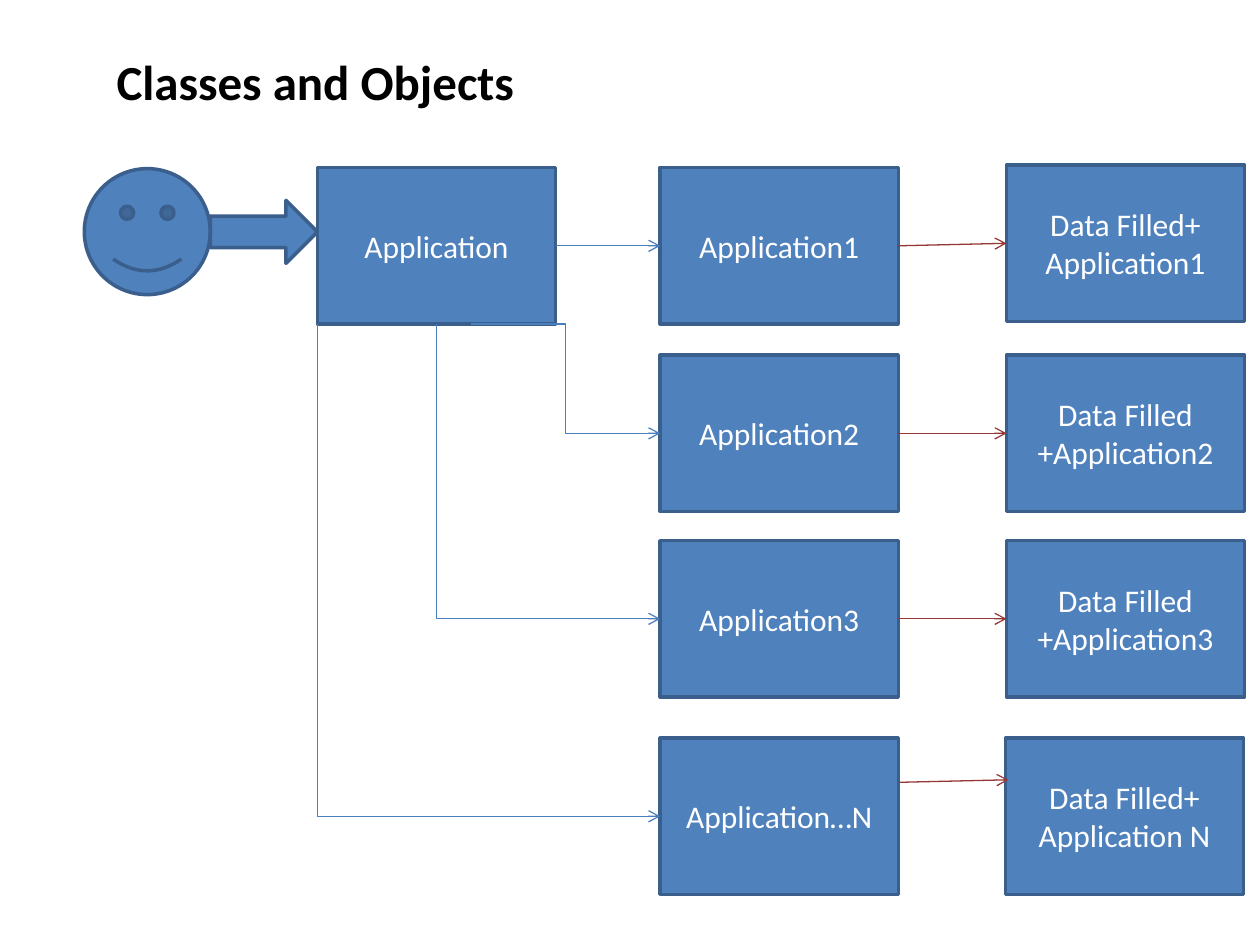
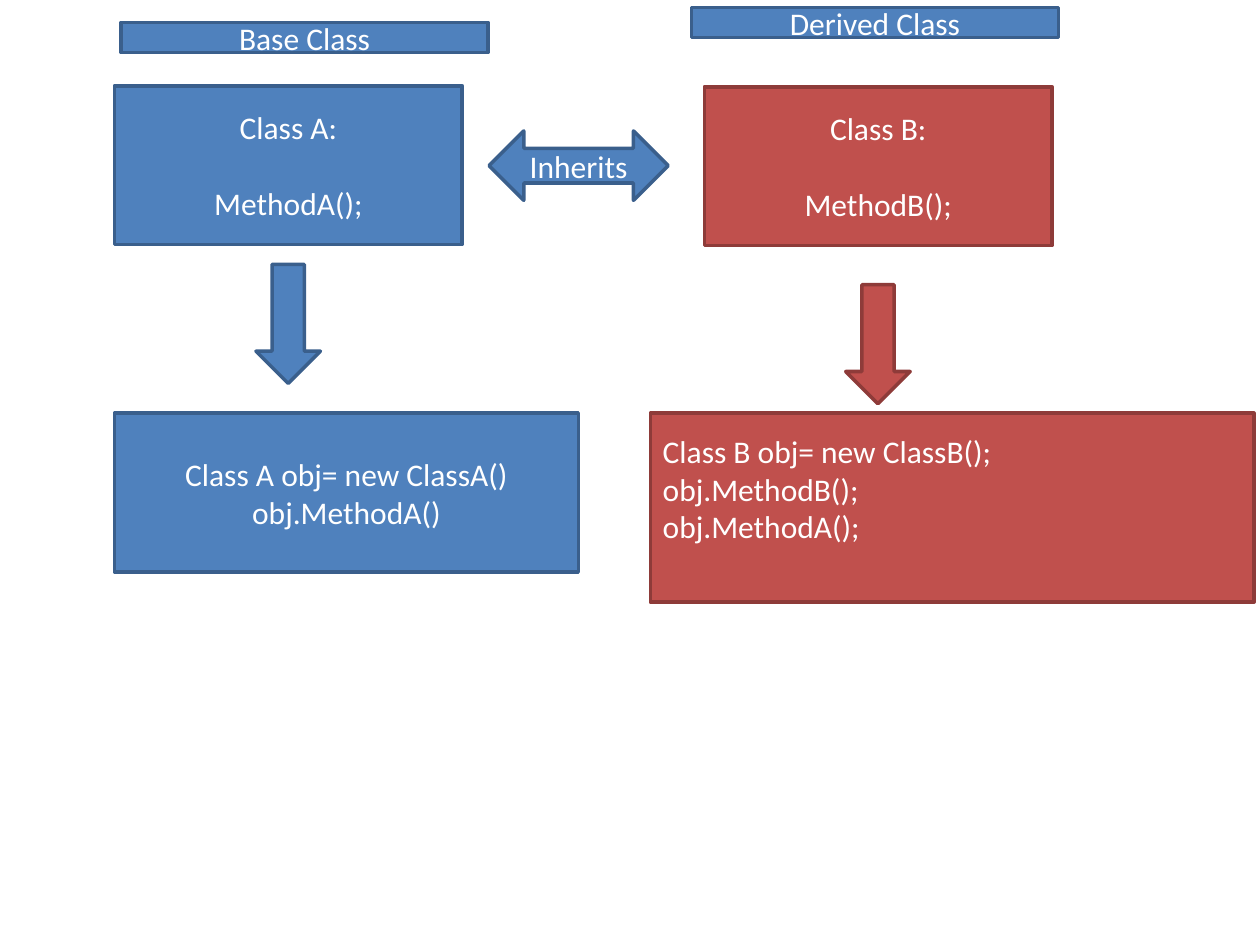
from pptx import Presentation
from pptx.dml.color import RGBColor
from pptx.enum.shapes import MSO_CONNECTOR, MSO_SHAPE
from pptx.enum.text import MSO_ANCHOR, MSO_AUTO_SIZE, PP_ALIGN
from pptx.oxml.ns import qn
from pptx.util import Cm, Pt
from lxml.etree import SubElement

BLACK = RGBColor(0x00, 0x00, 0x00)
WHITE = RGBColor(0xFF, 0xFF, 0xFF)
BLUE = RGBColor(0x4F, 0x81, 0xBD)
BLUE_EDGE = RGBColor(0x3A, 0x5F, 0x8C)
BLUE_LINE = RGBColor(0x4B, 0x7E, 0xBC)
RED = RGBColor(0xC0, 0x50, 0x4D)
RED_EDGE = RGBColor(0x8E, 0x3B, 0x39)
RED_LINE = RGBColor(0x95, 0x37, 0x35)

BLUE_PAIR = (BLUE, BLUE_EDGE)
RED_PAIR = (RED, RED_EDGE)
TITLE_FONT = {"name": "Calibri", "size": Pt(28), "bold": True}
BODY_FONT = {"name": "Calibri", "size": Pt(18)}
BOX_FRAME = {"word_wrap": True, "vertical_anchor": MSO_ANCHOR.MIDDLE}
TITLE_FRAME = {"word_wrap": False, "auto_size": MSO_AUTO_SIZE.SHAPE_TO_FIT_TEXT}
CENTRED = {"alignment": PP_ALIGN.CENTER}
LEFT = {"alignment": PP_ALIGN.LEFT}
LINE_GAP = Pt(22)


def apply(target, values):
    for name, value in values.items():
        setattr(target, name, value)


class Deck:
    def __init__(self):
        self.prs = Presentation()
        self.prs.slide_width, self.prs.slide_height = Cm(25.4), Cm(19.05)
        self.s = None

    def slide(self):
        self.s = self.prs.slides.add_slide(self.prs.slide_layouts[6])

    def text(self, tf, lines, font, color, frame, para):
        apply(tf, frame)
        for i, line in enumerate(lines):
            p = tf.paragraphs[0] if i == 0 else tf.add_paragraph()
            apply(p, para)
            r = p.add_run()
            r.text = line
            apply(r.font, font)
            r.font.color.rgb = color

    def title(self, title, x, y, w, h):
        tf = self.s.shapes.add_textbox(Cm(x), Cm(y), Cm(w), Cm(h)).text_frame
        self.text(tf, [title], TITLE_FONT, BLACK, TITLE_FRAME, LEFT)

    def shape(self, kind, x, y, w, h, lines=(), colors=BLUE_PAIR, para=CENTRED):
        sp = self.s.shapes.add_shape(kind, Cm(x), Cm(y), Cm(w), Cm(h))
        sp.shadow.inherit = False
        sp.fill.solid()
        sp.fill.fore_color.rgb, sp.line.color.rgb = colors
        sp.line.width = Pt(2)
        self.text(sp.text_frame, lines, BODY_FONT, WHITE, BOX_FRAME, para)
        return sp

    def box(self, *args, **kwargs):
        return self.shape(MSO_SHAPE.RECTANGLE, *args, **kwargs)

    def arrow(self, x1, y1, x2, y2, color, kind=MSO_CONNECTOR.STRAIGHT):
        c = self.s.shapes.add_connector(kind, Cm(x1), Cm(y1), Cm(x2), Cm(y2))
        c.line.color.rgb = color
        c.line.width = Pt(0.75)
        sp_pr = c._element.spPr
        SubElement(sp_pr.find(qn("a:ln")), qn("a:tailEnd"), type="arrow")
        SubElement(sp_pr, qn("a:effectLst"))
        return c

    def link(self, left, right, color):
        c = self.arrow(0, 0, 1, 1, color)
        c.begin_connect(left, 3)
        c.end_connect(right, 1)

    def down_right(self, x1, y1, x2, y2, color):
        c = self.arrow(x1, y1, x2, y2, color, MSO_CONNECTOR.ELBOW)
        w, h = x2 - x1, y2 - y1
        apply(c, {"left": Cm((x1 + x2 - h) / 2), "top": Cm((y1 + y2 - w) / 2),
                  "width": Cm(h), "height": Cm(w)})
        sp_pr = c._element.spPr
        sp_pr.find(qn("a:prstGeom")).set("prst", "bentConnector2")
        xfrm = sp_pr.find(qn("a:xfrm"))
        xfrm.set("rot", "16200000")
        xfrm.set("flipH", "1")


def classes_and_objects(deck):
    deck.slide()
    deck.title("Classes and Objects", 2.1, 0.91, 8.6, 1.45)
    deck.shape(MSO_SHAPE.SMILEY_FACE, 1.7, 3.4, 2.54, 2.54)

    w, h = 4.8, 3.15
    app_x, object_x, top = 6.4, 13.31, 3.38
    app = deck.box(app_x, top, w, h, ["Application"])
    rows = [
        (top, "Application1", 20.29, 3.33, ["Data Filled+", "Application1"]),
        (7.16, "Application2", 20.29, 7.16, ["Data Filled +Application2"]),
        (10.9, "Application3", 20.29, 10.9, ["Data Filled +Application3"]),
        (14.88, "Application…N", 20.27, 14.88, ["Data Filled+", "Application N"]),
    ]
    pairs = [(deck.box(object_x, y, w, h, [name]),
              deck.box(data_x, data_y, w, h, lines))
             for y, name, data_x, data_y, lines in rows]
    for instance, filled in pairs[:3]:
        deck.link(instance, filled, RED_LINE)
    deck.arrow(18.14, 15.77, 20.33, 15.72, RED_LINE)

    deck.link(app, pairs[0][0], BLUE_LINE)
    bottom = top + h
    mid_2, mid_3, mid_n = [row[0] + h / 2 for row in rows[1:]]
    deck.arrow(9.5, bottom, object_x, mid_2, BLUE_LINE, MSO_CONNECTOR.ELBOW)
    deck.down_right(app_x + w / 2, bottom, object_x, mid_3, BLUE_LINE)
    deck.down_right(app_x, bottom, object_x, mid_n, BLUE_LINE)
    deck.shape(MSO_SHAPE.RIGHT_ARROW, 4.24, 4.04, 2.16, 1.27)


def inheritance(deck):
    deck.slide()
    class_w, class_h = 7.01, 3.2
    classes = [
        (2.31, 1.73, 5.33, ["Class A:", "MethodA();"], BLUE_PAIR),
        (14.2, 1.75, 5.74, ["Class B:", "MethodB();"], RED_PAIR),
    ]
    for x, y, arrow_y, lines, colors in classes:
        sp = deck.box(x, y, class_w, class_h, lines, colors)
        sp.text_frame.paragraphs[1].space_before = LINE_GAP
        deck.shape(MSO_SHAPE.DOWN_ARROW, x + 2.85, arrow_y, 1.3, 2.4, colors=colors)

    usage_y = 8.33
    deck.box(2.31, usage_y, 9.35, class_h,
             ["Class A obj= new ClassA()", "obj.MethodA()"])
    derived = deck.box(13.11, usage_y, 12.17, 3.81,
                       ["Class B obj= new ClassB();", "obj.MethodB();", "obj.MethodA();"],
                       RED_PAIR, LEFT)
    derived.text_frame.margin_bottom = Cm(0.9)

    deck.shape(MSO_SHAPE.LEFT_RIGHT_ARROW, 9.86, 2.64, 3.61, 1.4, ["Inherits"])
    for x, y, label in [(2.44, 0.45, "Base Class"), (13.94, 0.15, "Derived Class")]:
        deck.box(x, y, 7.4, 0.61, [label])


def main():
    deck = Deck()
    classes_and_objects(deck)
    inheritance(deck)
    deck.prs.save("out.pptx")


if __name__ == "__main__":
    main()
